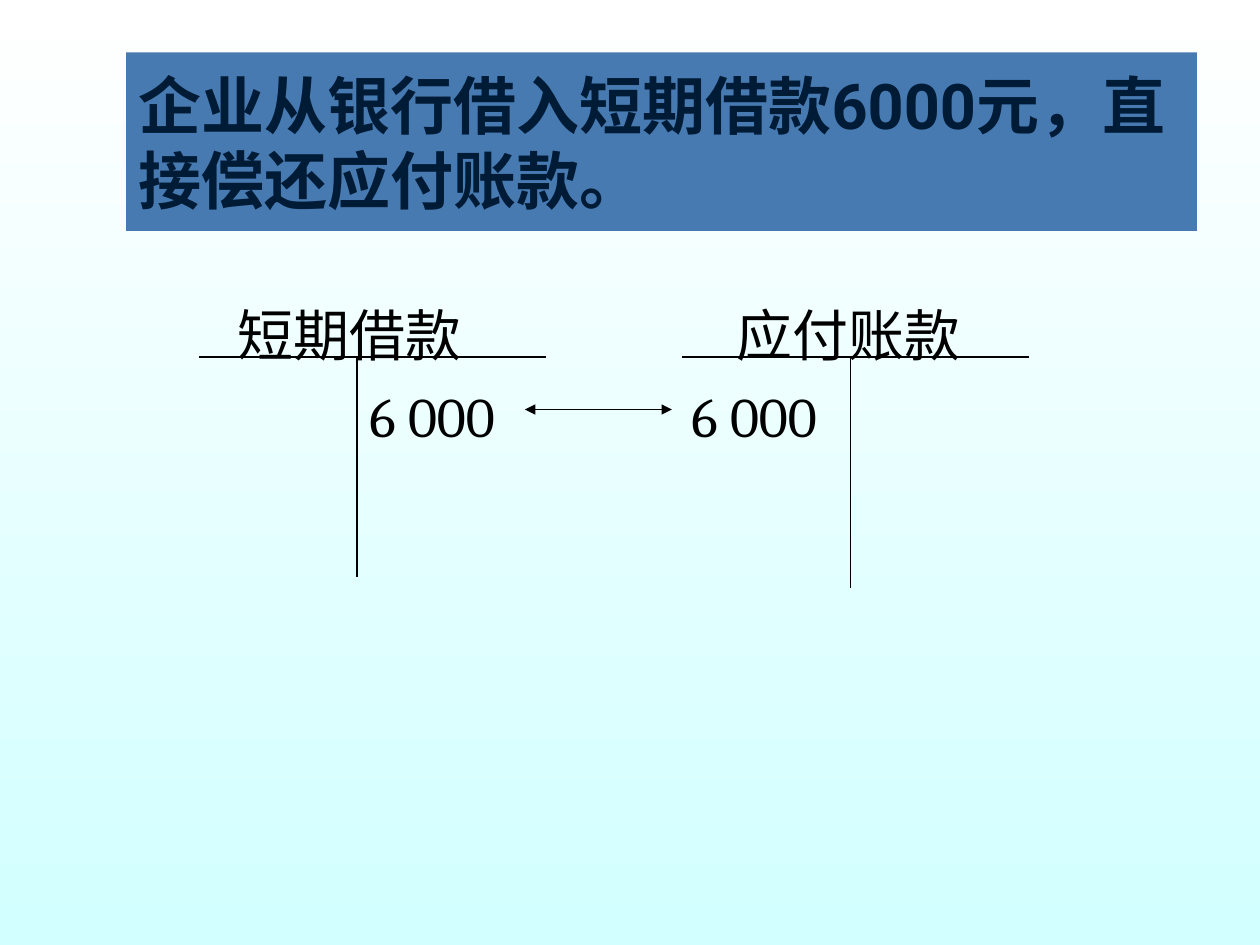
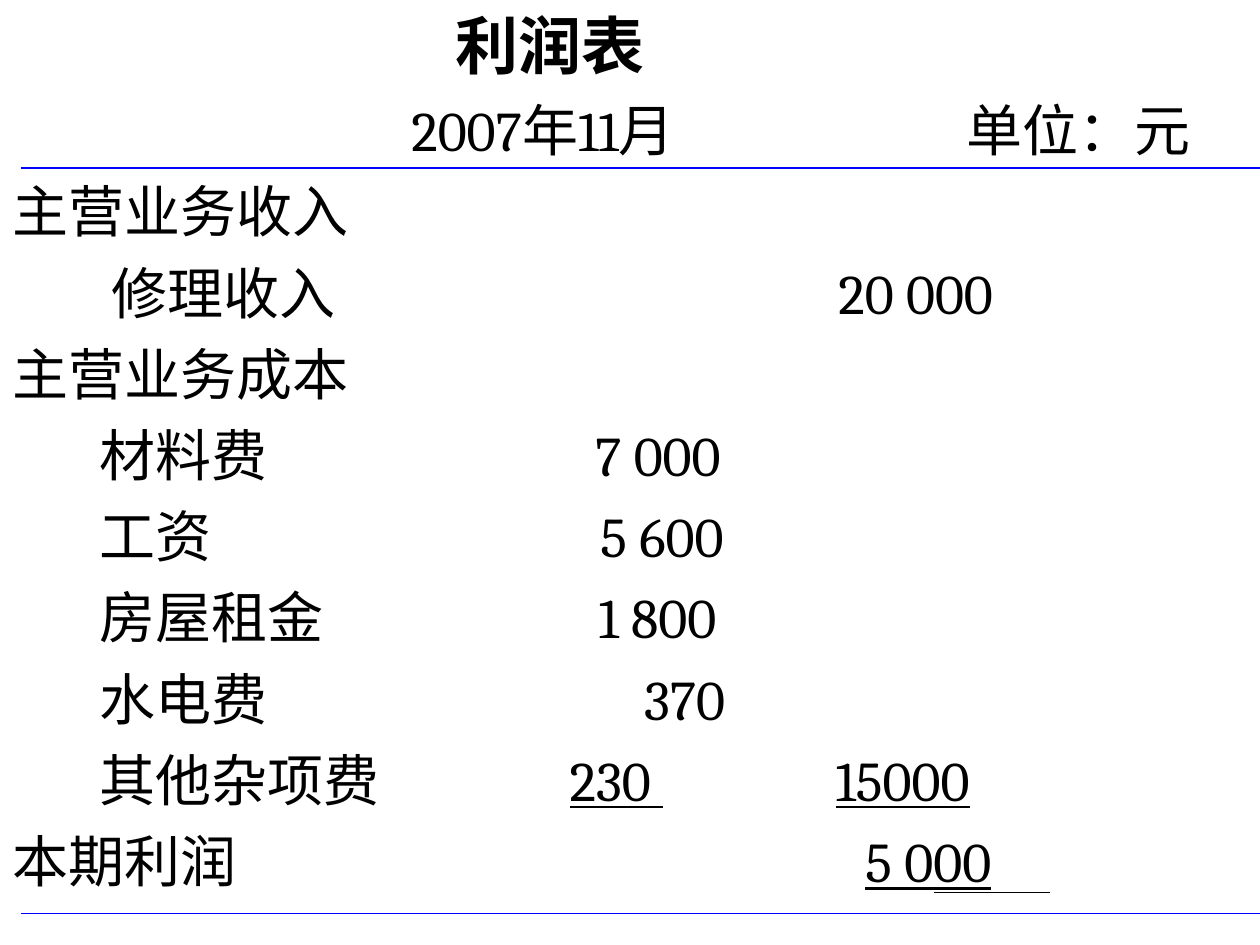
from lxml import etree
from pptx import Presentation
from pptx.dml.color import RGBColor
from pptx.enum import shapes, text
from pptx.oxml import ns
from pptx.util import Pt

COLORS = {"top": "FFFFFF", "bottom": "D2FFFF", "band": "477AB1", "title": "001B36",
          "ink": "000000", "rule": "0000FF", "paper": "FFFFFF"}
TITLE_FONT, BODY_FONT = "Roboto", "Cambria"
TITLE_SIZE, BODY_SIZE, ROW_GAP = 36, 32, 8

# Every row is a list of cells: (distance from the text edge, text)
LOAN_TITLE = "企业从银行借入短期借款6000元，直接偿还应付账款。"
LOAN_ROWS = [
    [(92.5, "短期借款"), (378, "应付账款")],
    [(168, "6 000"), (352, "6 000")],
]
# T accounts: left end of the bar, stem position, foot of the stem
ACCOUNTS = [(114, 204, 330), (390, 486, 336)]
BAR_TOP, BAR_WIDTH = 204, 198
TRANSFER = (300, 234, 384, 234)

PROFIT_ROWS = [
    [(253, "利润表")],
    [(228, "2007年11月"), (545, "单位：元")],
    [(0, "主营业务收入")],
    [(56.5, "修理收入"), (472, "20 000")],
    [(0, "主营业务成本")],
    [(50, "材料费"), (333, "7 000")],
    [(50, "工资"), (336, "5 600")],
    [(50, "房屋租金"), (335, "1 800")],
    [(50, "水电费"), (361, "370")],
    [(50, "其他杂项费"), (318.5, "230 "), (470.5, "15000")],
    [(0, "本期利润"), (487.5, "5 000")],
]
UNDERLINED = {"230 ", "15000"}
PROFIT_TOTAL = "5 000"
TABLE_RULES = [96, 522]
TOTAL_RULE = (534, 510, 600, 510)


def rgb(name):
    return RGBColor.from_string(COLORS[name])


def style_run(r, font, size, color, bold=False):
    r.font.name, r.font.size, r.font.bold = font, Pt(size), bold
    r.font.color.rgb = rgb(color)


def add_line(s, ends, color="ink", width=1, arrows=False):
    line = s.shapes.add_connector(shapes.MSO_CONNECTOR.STRAIGHT, *map(Pt, ends))
    line.line.color.rgb = rgb(color)
    line.line.width = Pt(width)
    if arrows:
        ln = line.line._get_or_add_ln()
        for end in ("a:headEnd", "a:tailEnd"):
            etree.SubElement(ln, ns.qn(end), type="triangle")
    etree.SubElement(line._element.spPr, ns.qn("a:effectLst"))


def add_rows(s, box, rows, underlined=(), heading=False):
    """Write rows in one text box, each cell at its own tab stop."""
    sp = s.shapes.add_textbox(*map(Pt, box))
    tf = sp.text_frame
    tf.word_wrap = True
    for i, row in enumerate(rows):
        p = tf.paragraphs[0] if i == 0 else tf.add_paragraph()
        p.space_before = Pt(ROW_GAP if i else 0)
        tabs = etree.SubElement(p._p.get_or_add_pPr(), ns.qn("a:tabLst"))
        is_heading = heading and i == 0
        size = TITLE_SIZE if is_heading else BODY_SIZE
        for x, words in row:
            if x:
                etree.SubElement(tabs, ns.qn("a:tab"), pos=str(Pt(x)), algn="l")
            for part in (["\t"] if x else []) + [words]:
                r = p.add_run()
                r.text = part
                style_run(r, BODY_FONT, size, "ink", is_heading)
                r.font.underline = part in underlined
    return sp


def build_loan(prs):
    s = prs.slides.add_slide(prs.slide_layouts[5])
    sp = s.shapes.title
    sp.left, sp.top, sp.width, sp.height = map(Pt, (72, 30, 612, 102))
    sp.fill.solid()
    sp.fill.fore_color.rgb = rgb("band")
    tf = sp.text_frame
    tf.text = LOAN_TITLE
    tf.word_wrap = True
    tf.auto_size = text.MSO_AUTO_SIZE.NONE
    tf.vertical_anchor = text.MSO_ANCHOR.MIDDLE
    p = tf.paragraphs[0]
    p.alignment = text.PP_ALIGN.LEFT
    style_run(p.runs[0], TITLE_FONT, TITLE_SIZE, "title", True)

    add_rows(s, (36, 168, 648, 270), LOAN_ROWS)
    for left, stem, foot in ACCOUNTS:
        add_line(s, (left, BAR_TOP, left + BAR_WIDTH, BAR_TOP))
        add_line(s, (stem, BAR_TOP, stem, foot))
    add_line(s, TRANSFER, arrows=True)


def build_profit(prs):
    s = prs.slides.add_slide(prs.slide_layouts[6])
    sp = add_rows(s, (0, 0, 720, 540), PROFIT_ROWS, UNDERLINED | {PROFIT_TOTAL}, heading=True)
    sp.fill.solid()
    sp.fill.fore_color.rgb = rgb("paper")
    for y in TABLE_RULES:
        add_line(s, (12, y, 720, y), "rule", 0.75)
    add_line(s, TOTAL_RULE, width=0.75)


def main():
    prs = Presentation()
    prs.slide_width, prs.slide_height = Pt(720), Pt(540)
    fill = prs.slide_master.background.fill
    fill.gradient()
    fill.gradient_angle = 270
    for stop, name in zip(fill.gradient_stops, ("top", "bottom")):
        stop.color.rgb = rgb(name)
    build_loan(prs)
    build_profit(prs)
    prs.save("out.pptx")


if __name__ == "__main__":
    main()
